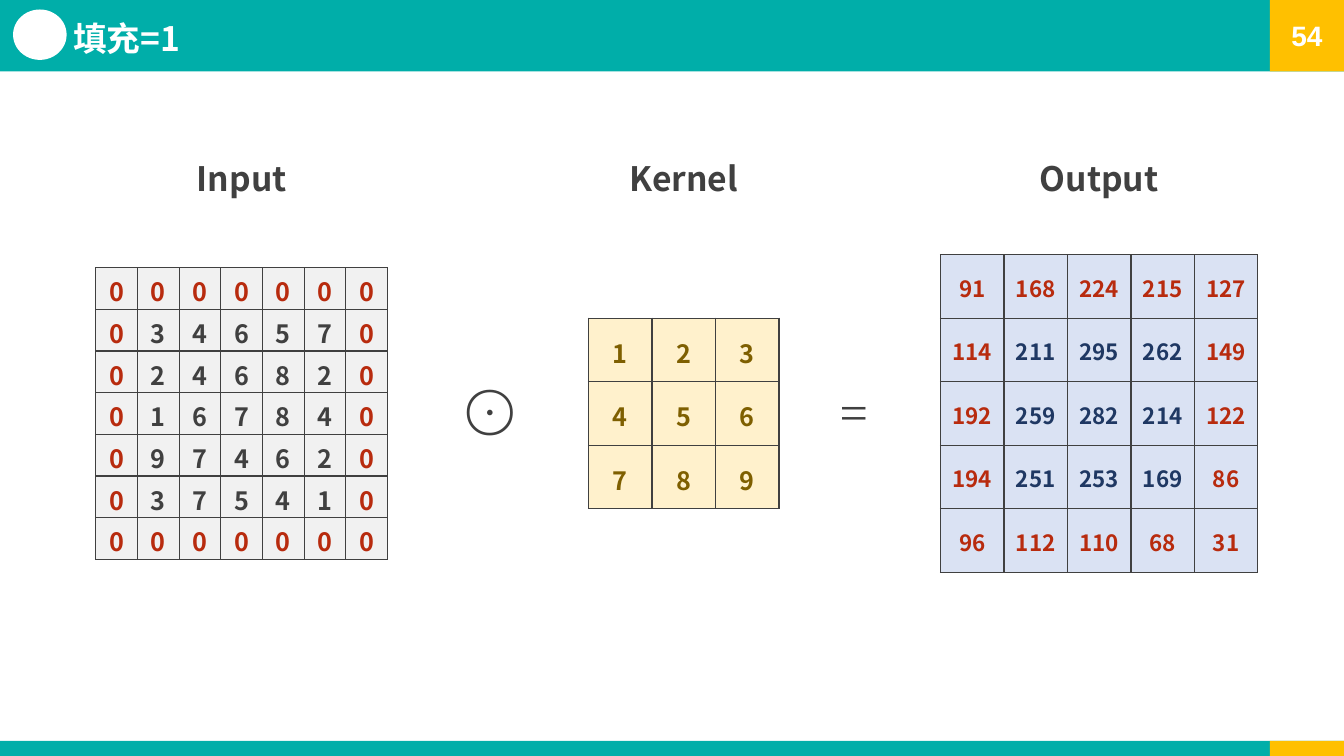
from dataclasses import dataclass

from lxml.etree import SubElement
from pptx import Presentation
from pptx.dml.color import RGBColor
from pptx.enum.shapes import MSO_SHAPE
from pptx.enum.text import MSO_ANCHOR, PP_ALIGN
from pptx.oxml.ns import qn
from pptx.util import Cm, Pt


@dataclass(frozen=True)
class Theme:
    teal: str = "00AEA9"
    amber: str = "FFC000"
    white: str = "FFFFFF"
    ink: str = "404040"
    edge_value: str = "B82B0E"
    input_fill: str = "F1F1F1"
    kernel_fill: str = "FFF1CC"
    kernel_value: str = "7E5F00"
    output_fill: str = "DAE2F3"
    output_value: str = "1F3863"
    font: str = "Noto Sans CJK SC"
    number_font: str = "Arial"
    operator_font: str = "Times New Roman"
    title_size: int = 24
    number_size: int = 20
    value_size: int = 18
    output_size: int = 16
    operator_size: int = 36


THEME = Theme()
SLIDE_WIDTH, SLIDE_HEIGHT = 33.87, 19.05
CORNER_WIDTH = 1.87
MIDDLE_Y = 10.42
HEADING_TOP = 3.94

PIXELS = [
    [3, 4, 6, 5, 7],
    [2, 4, 6, 8, 2],
    [1, 6, 7, 8, 4],
    [9, 7, 4, 6, 2],
    [3, 7, 5, 4, 1],
]
KERNEL = [[1, 2, 3], [4, 5, 6], [7, 8, 9]]
OUTPUT = [
    [91, 168, 224, 215, 127],
    [114, 211, 295, 262, 149],
    [192, 259, 282, 214, 122],
    [194, 251, 253, 169, 86],
    [96, 112, 110, 68, 31],
]


def zero_padded(matrix):
    blank = [0] * (len(matrix[0]) + 2)
    return [blank, *([0, *row, 0] for row in matrix), blank]


def write(frame, text, size, color, font=THEME.font, bold=True, align=PP_ALIGN.CENTER):
    paragraph = frame.paragraphs[0]
    paragraph.text = text
    paragraph.alignment = align
    style = paragraph.font
    style.size, style.bold, style.name = Pt(size), bold, font
    style.color.rgb = RGBColor.from_string(color)
    defaults = paragraph._p.pPr.find(qn("a:defRPr"))
    SubElement(defaults, qn("a:ea"), typeface=font)
    return paragraph


def add_block(slide, kind, left, top, width, height, color):
    block = slide.shapes.add_shape(kind, Cm(left), Cm(top), Cm(width), Cm(height))
    block.shadow.inherit = False
    block.fill.solid()
    block.fill.fore_color.rgb = RGBColor.from_string(color)
    block.line.fill.background()
    return block


def add_label(slide, left, top, width, height, inset=0.0):
    label = slide.shapes.add_textbox(Cm(left), Cm(top), Cm(width), Cm(height))
    frame = label.text_frame
    frame.word_wrap = True
    frame.margin_left = frame.margin_right = frame.margin_bottom = 0
    frame.margin_top = Cm(inset)
    return frame


def add_band(slide, top, height):
    corner_left = SLIDE_WIDTH - CORNER_WIDTH
    add_block(slide, MSO_SHAPE.RECTANGLE, 0, top, SLIDE_WIDTH, height, THEME.teal)
    return add_block(slide, MSO_SHAPE.RECTANGLE, corner_left, top, CORNER_WIDTH, height, THEME.amber)


def add_header(slide, top, height, title, number):
    corner = add_band(slide, top, height)
    corner.text_frame.vertical_anchor = MSO_ANCHOR.MIDDLE
    write(corner.text_frame, number, THEME.number_size, THEME.white, THEME.number_font)
    add_block(slide, MSO_SHAPE.OVAL, 0.33, top + 0.24, 1.35, 1.27, THEME.white)
    frame = add_label(slide, 1.85, top + 0.2, 24.26, 1.27)
    frame.vertical_anchor = MSO_ANCHOR.BOTTOM
    heading = write(frame, title, THEME.title_size, THEME.white, align=PP_ALIGN.LEFT)
    heading.line_spacing = 0.9


def outline_cell(cell):
    properties = cell._tc.get_or_add_tcPr()
    for side in ("lnL", "lnR", "lnT", "lnB"):
        border = SubElement(properties, qn(f"a:{side}"), w=str(Pt(1)))
        fill = SubElement(border, qn("a:solidFill"))
        SubElement(fill, qn("a:srgbClr"), val=THEME.ink)


def add_matrix(slide, center_x, heading, values, cell_size, inset, size, fill, color, edge_color):
    count = len(values)
    side = count * cell_size
    left, top = center_x - side / 2, MIDDLE_Y - side / 2
    frame = add_label(slide, left, HEADING_TOP, side, 1.09, 0.03)
    write(frame, heading, THEME.title_size, THEME.ink)

    grid = slide.shapes.add_table(count, count, Cm(left), Cm(top), Cm(side), Cm(side)).table
    grid.first_row = grid.horz_banding = False
    for track in [*grid.columns]:
        track.width = Cm(cell_size)
    for track in grid.rows:
        track.height = Cm(cell_size)
    for r, row in enumerate(values):
        for c, value in enumerate(row):
            cell = grid.cell(r, c)
            cell.margin_left = cell.margin_right = cell.margin_bottom = 0
            cell.margin_top = Cm(inset)
            outline_cell(cell)
            cell.fill.solid()
            cell.fill.fore_color.rgb = RGBColor.from_string(fill)
            on_edge = {r, c} & {0, count - 1}
            write(cell.text_frame, str(value), size, edge_color if on_edge else color)


def add_operator(slide, left, symbol):
    frame = add_label(slide, left, 9.55, 1.17, 1.6, 0.03)
    write(frame, symbol, THEME.operator_size, THEME.ink, THEME.operator_font, False, PP_ALIGN.LEFT)


def add_padding_slide(deck):
    slide = deck.slides.add_slide(deck.slide_layouts[6])
    add_band(slide, 18.67, 0.38)
    add_header(slide, 0, 1.8, "填充=1", "54")
    add_matrix(slide, 6.09, "Input", zero_padded(PIXELS), 1.05, 0.12, THEME.value_size,
               THEME.input_fill, THEME.ink, THEME.edge_value)
    add_matrix(slide, 17.23, "Kernel", KERNEL, 1.6, 0.4, THEME.value_size,
               THEME.kernel_fill, THEME.kernel_value, THEME.kernel_value)
    add_matrix(slide, 27.7, "Output", OUTPUT, 1.6, 0.42, THEME.output_size,
               THEME.output_fill, THEME.output_value, THEME.edge_value)
    add_operator(slide, 11.73, "⨀")
    add_operator(slide, 21.16, "=")


def main():
    deck = Presentation()
    deck.slide_width, deck.slide_height = Cm(SLIDE_WIDTH), Cm(SLIDE_HEIGHT)
    add_padding_slide(deck)
    deck.save("out.pptx")


if __name__ == "__main__":
    main()
